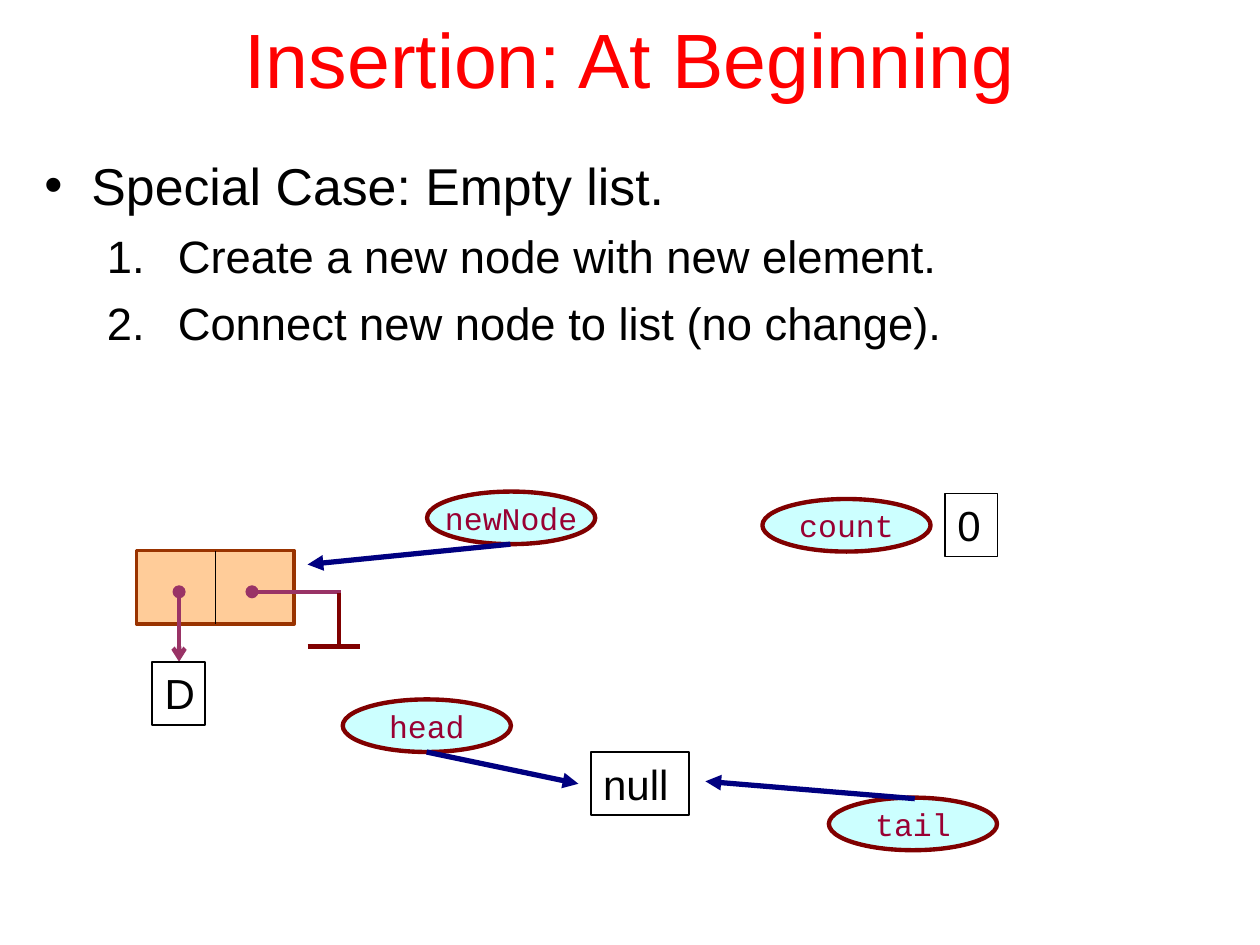
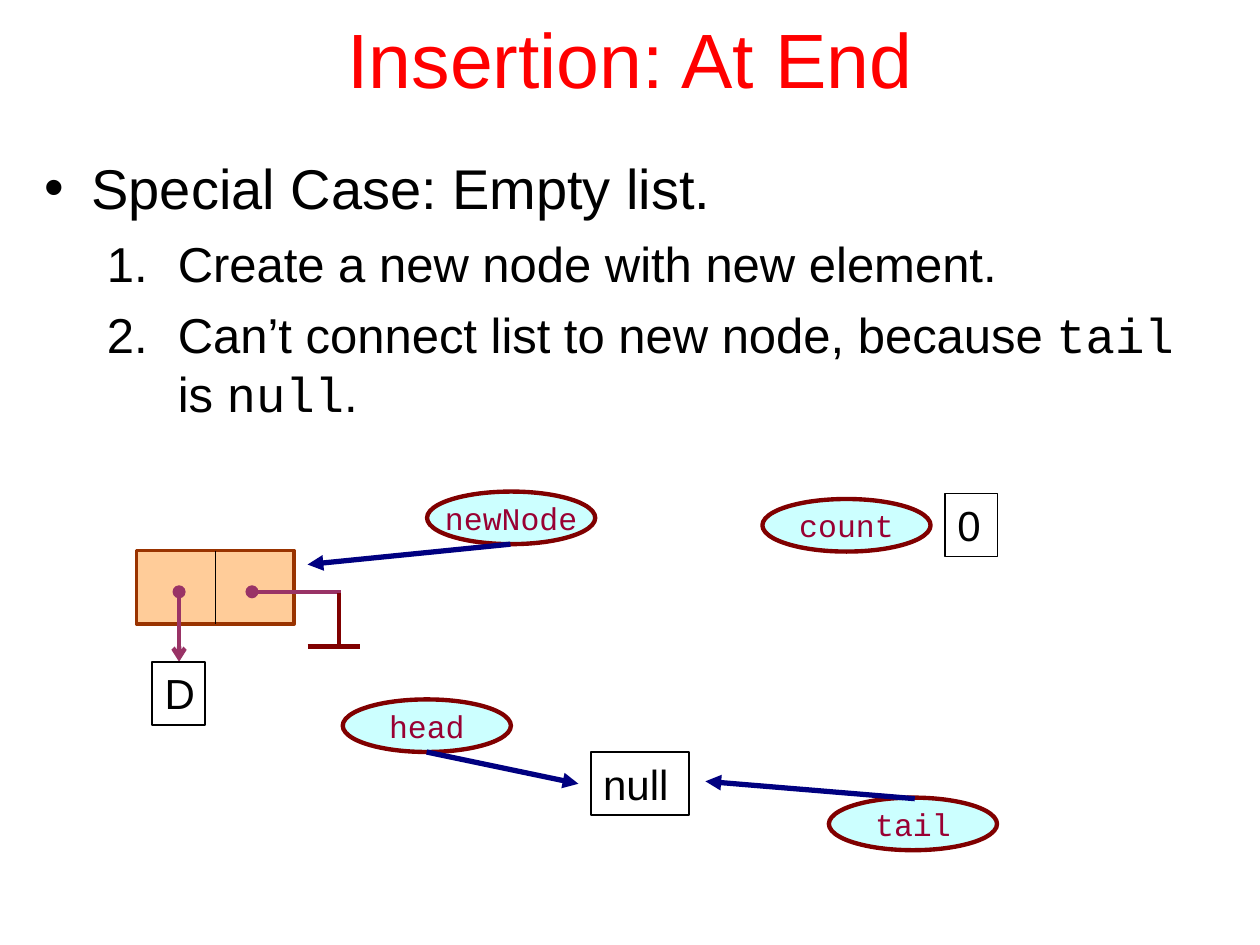
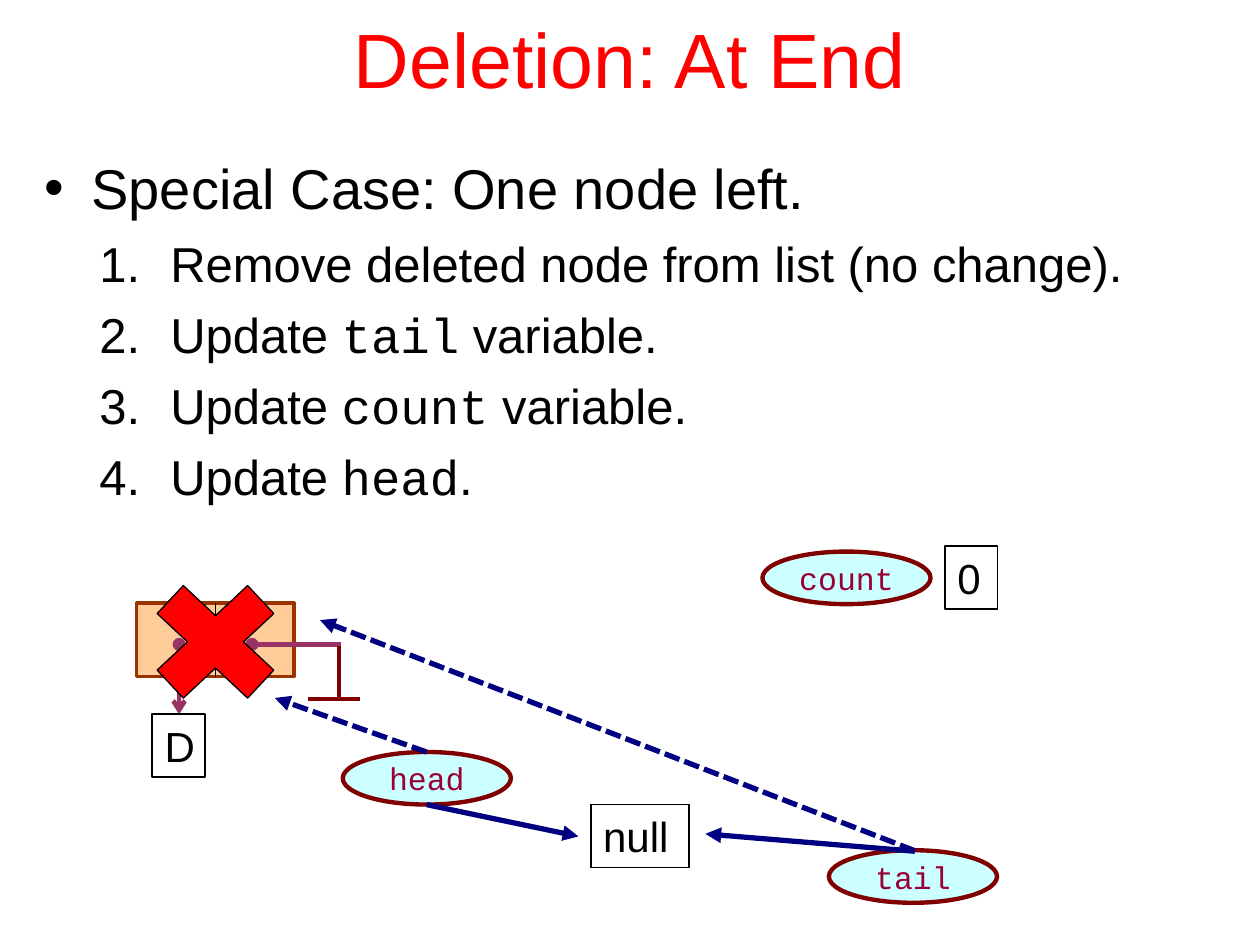
import pptx
import pptx.util
import pptx.dml.color
import pptx.enum.dml
import pptx.enum.shapes
import pptx.enum.text
import pptx.oxml
import pptx.oxml.ns
from lxml import etree

Cm = pptx.util.Cm
Pt = pptx.util.Pt
SHAPE = pptx.enum.shapes.MSO_SHAPE
ALIGN = pptx.enum.text.PP_ALIGN
ANCHOR = pptx.enum.text.MSO_ANCHOR

COLORS = {
    "title": "FF0000",
    "text": "000000",
    "variable_fill": "CCFFFF",
    "variable_line": "800000",
    "variable_text": "990033",
    "arrow": "000080",
    "node_fill": "FFCC99",
    "node_line": "993300",
    "link": "993366",
    "cross": "FF0000",
}
SANS, MONO = "Arial", "Courier New"

SLIDES = [
    {
        "title": "Insertion: At Beginning",
        "case": "Special Case: Empty list.",
        "steps": [
            [("Create a new node with new element.", SANS)],
            [("Connect new node to list (no change).", SANS)],
        ],
        "sizes": (29.6, 25.9), "body_height": 4.37, "step_indent": 2.69,
        "shift": 0, "deleted": False,
    },
    {
        "title": "Insertion: At End",
        "case": "Special Case: Empty list.",
        "steps": [
            [("Create a new node with new element.", SANS)],
            [("Can’t connect list to new node, because ", SANS), ("tail", MONO),
             (" is ", SANS), ("null", MONO), (".", SANS)],
        ],
        "sizes": (32, 28), "body_height": 5.99, "step_indent": 2.69,
        "shift": 0, "deleted": False,
    },
    {
        "title": "Deletion: At End",
        "case": "Special Case: One node left.",
        "steps": [
            [("Remove deleted node from list (no change).", SANS)],
            [("Update ", SANS), ("tail", MONO), (" variable.", SANS)],
            [("Update ", SANS), ("count", MONO), (" variable.", SANS)],
            [("Update ", SANS), ("head", MONO), (".", SANS)],
        ],
        "sizes": (32, 28), "body_height": 7.59, "step_indent": 2.54,
        "shift": 1.06, "deleted": True,
    },
]

VARIABLE_SIZE = (3.39, 1.06)
POINTERS = [
    ("head", 6.91, 14.1, (8.6, 15.16), (11.66, 15.8)),
    ("tail", 16.71, 16.08, (18.44, 16.1), (14.22, 15.75)),
]
NEW_NODE = ("newNode", 8.61, 9.91, (10.29, 10.97), (6.2, 11.38))
COUNT = ("count", 15.37, 10.06)
NODE = (2.75, 11.1, 3.18, 1.48)
NODE_LINKS = [
    ((3.61, 11.93), (3.61, 13.34), "link", "oval", "arrow"),
    ((5.08, 11.93), (6.88, 11.93), "link", "oval", None),
    ((6.83, 11.96), (6.83, 13.03), "variable_line", None, None),
    ((6.2, 13.03), (7.26, 13.03), "variable_line", None, None),
]
VALUES = [("D", 3.07, 13.34, 1.06), ("0", 19.05, 9.95, 1.06), ("null", 11.91, 15.16, 1.98)]
VALUE_HEIGHT = 1.27
CROSS = (2.59, 10.24, 3.51, 3.28)
OLD_POINTERS = [((8.6, 14.1), (5.54, 13.01)), ((18.44, 16.09), (6.45, 11.44))]


def rgb(name):
    return pptx.dml.color.RGBColor.from_string(COLORS[name])


def add_run(paragraph, text, size, color, font=SANS):
    run = paragraph.add_run()
    run.text = text
    run.font.name = font
    run.font.size = Pt(size)
    run.font.color.rgb = rgb(color)


def place(shape, left, top, width, height):
    shape.left, shape.top, shape.width, shape.height = map(Cm, (left, top, width, height))


def set_bullet(paragraph, left, hanging, tag, **attributes):
    properties = paragraph._p.get_or_add_pPr()
    properties.set("marL", str(Cm(left)))
    properties.set("indent", str(-Cm(hanging)))
    color = etree.SubElement(properties, pptx.oxml.ns.qn("a:buClr"))
    etree.SubElement(color, pptx.oxml.ns.qn("a:srgbClr"), val=COLORS["text"])
    etree.SubElement(properties, pptx.oxml.ns.qn("a:buFont"), typeface=SANS)
    etree.SubElement(properties, pptx.oxml.ns.qn(tag), **attributes)


def add_title(slide, text):
    title = slide.shapes.title
    place(title, 1.91, -0.43, 21.59, 3.18)
    title.text_frame.vertical_anchor = ANCHOR.MIDDLE
    title.text_frame.auto_size = pptx.enum.text.MSO_AUTO_SIZE.NONE
    paragraph = title.text_frame.paragraphs[0]
    paragraph.alignment = ALIGN.CENTER
    add_run(paragraph, text, 44, "title")


def add_body(slide, content):
    body = slide.placeholders[1]
    place(body, 0.64, 2.97, 24.13, content["body_height"])
    frame = body.text_frame
    frame.auto_size = pptx.enum.text.MSO_AUTO_SIZE.NONE
    case_size, step_size = content["sizes"]
    paragraph = frame.paragraphs[0]
    paragraph.space_before = Pt(0)
    set_bullet(paragraph, 0.95, 0.95, "a:buChar", char="•")
    add_run(paragraph, content["case"], case_size, "text")
    for runs in content["steps"]:
        paragraph = frame.add_paragraph()
        paragraph.level = 1
        paragraph.space_before = Pt(7)
        set_bullet(paragraph, content["step_indent"], 1.43, "a:buAutoNum", type="arabicPeriod")
        for text, font in runs:
            add_run(paragraph, text, step_size, "text", font)


def add_shape(shapes, kind, box, fill, line, width):
    shape = shapes.add_shape(kind, *map(Cm, box))
    shape.shadow.inherit = False
    if fill:
        shape.fill.solid()
        shape.fill.fore_color.rgb = rgb(fill)
    else:
        shape.fill.background()
    shape.line.color.rgb = rgb(line)
    shape.line.width = Pt(width)
    return shape


def add_line(shapes, start, end, color, width, head=None, tail=None, dashed=False):
    line = shapes.add_connector(
        pptx.enum.shapes.MSO_CONNECTOR.STRAIGHT, *map(Cm, (*start, *end)))
    line.line.color.rgb = rgb(color)
    line.line.width = Pt(width)
    if dashed:
        line.line.dash_style = pptx.enum.dml.MSO_LINE.SQUARE_DOT
    outline = line.line._get_or_add_ln()
    for tag, kind in (("a:headEnd", head), ("a:tailEnd", tail)):
        if kind:
            etree.SubElement(outline, pptx.oxml.ns.qn(tag), type=kind)
    etree.SubElement(line._element.spPr, pptx.oxml.ns.qn("a:effectLst"))


def add_variable(shapes, name, left, top):
    ellipse = add_shape(shapes, SHAPE.OVAL, (left, top, *VARIABLE_SIZE),
                        "variable_fill", "variable_line", 2.5)
    ellipse.text_frame.word_wrap = False
    ellipse.text_frame.vertical_anchor = ANCHOR.MIDDLE
    paragraph = ellipse.text_frame.paragraphs[0]
    paragraph.alignment = ALIGN.CENTER
    add_run(paragraph, name, 18, "variable_text", MONO)


def add_pointer(slide, shift, name, left, top, start, end):
    shapes = slide.shapes.add_group_shape().shapes
    add_variable(shapes, name, left, top + shift)
    add_line(shapes, lower(start, shift), lower(end, shift), "arrow", 3, tail="triangle")


def add_value(shapes, text, left, top, width):
    box = add_shape(shapes, SHAPE.RECTANGLE, (left, top, width, VALUE_HEIGHT), None, "text", 1)
    box.text_frame.word_wrap = True
    box.text_frame.vertical_anchor = ANCHOR.TOP
    paragraph = box.text_frame.paragraphs[0]
    paragraph.alignment = ALIGN.LEFT
    add_run(paragraph, text, 24, "text")


def lower(position, shift):
    left, top, *size = position
    return (left, top + shift, *size)


def add_node(shapes, shift):
    left, top, width, height = box = lower(NODE, shift)
    add_shape(shapes, SHAPE.RECTANGLE, box, "node_fill", "node_line", 2)
    middle = left + width / 2
    add_line(shapes, (middle, top), (middle, top + height), "text", 0.75)
    for start, end, color, head, tail in NODE_LINKS:
        add_line(shapes, lower(start, shift), lower(end, shift), color, 2.5, head, tail)


def add_diagram(slide, shift, deleted):
    shapes = slide.shapes
    for pointer in POINTERS if deleted else POINTERS + [NEW_NODE]:
        add_pointer(slide, shift, *pointer)
    add_node(shapes, shift)
    name, left, top = COUNT
    add_variable(shapes, name, left, top + shift)
    for text, left, top, width in VALUES:
        add_value(shapes, text, left, top + shift, width)
    if deleted:
        add_shape(shapes, SHAPE.MATH_MULTIPLY, lower(CROSS, shift), "cross", "text", 0.75)
        for start, end in OLD_POINTERS:
            add_line(shapes, lower(start, shift), lower(end, shift), "arrow", 3,
                     tail="triangle", dashed=True)


def main():
    presentation = pptx.Presentation()
    presentation.slide_width = Cm(25.4)
    presentation.slide_height = Cm(19.05)
    for content in SLIDES:
        slide = presentation.slides.add_slide(presentation.slide_layouts[1])
        add_title(slide, content["title"])
        add_body(slide, content)
        add_diagram(slide, content["shift"], content["deleted"])
    presentation.save("out.pptx")


if __name__ == "__main__":
    main()
